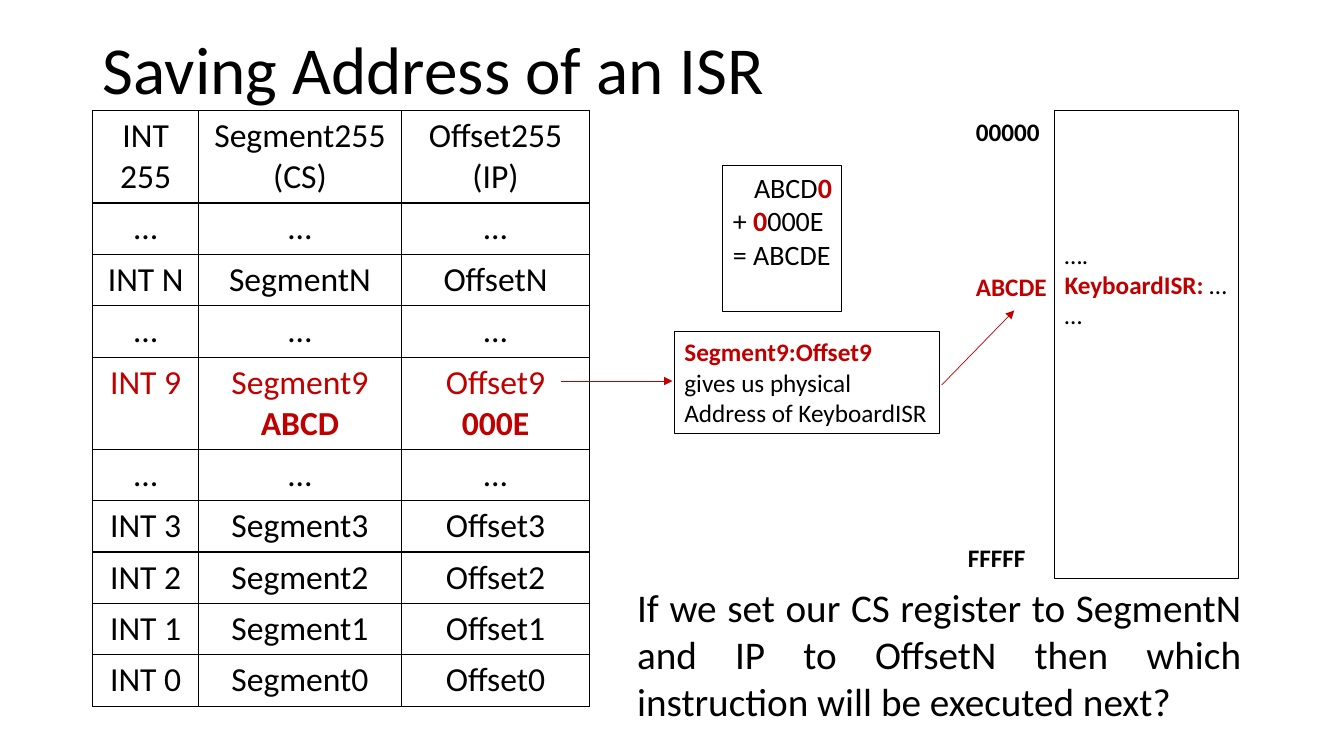
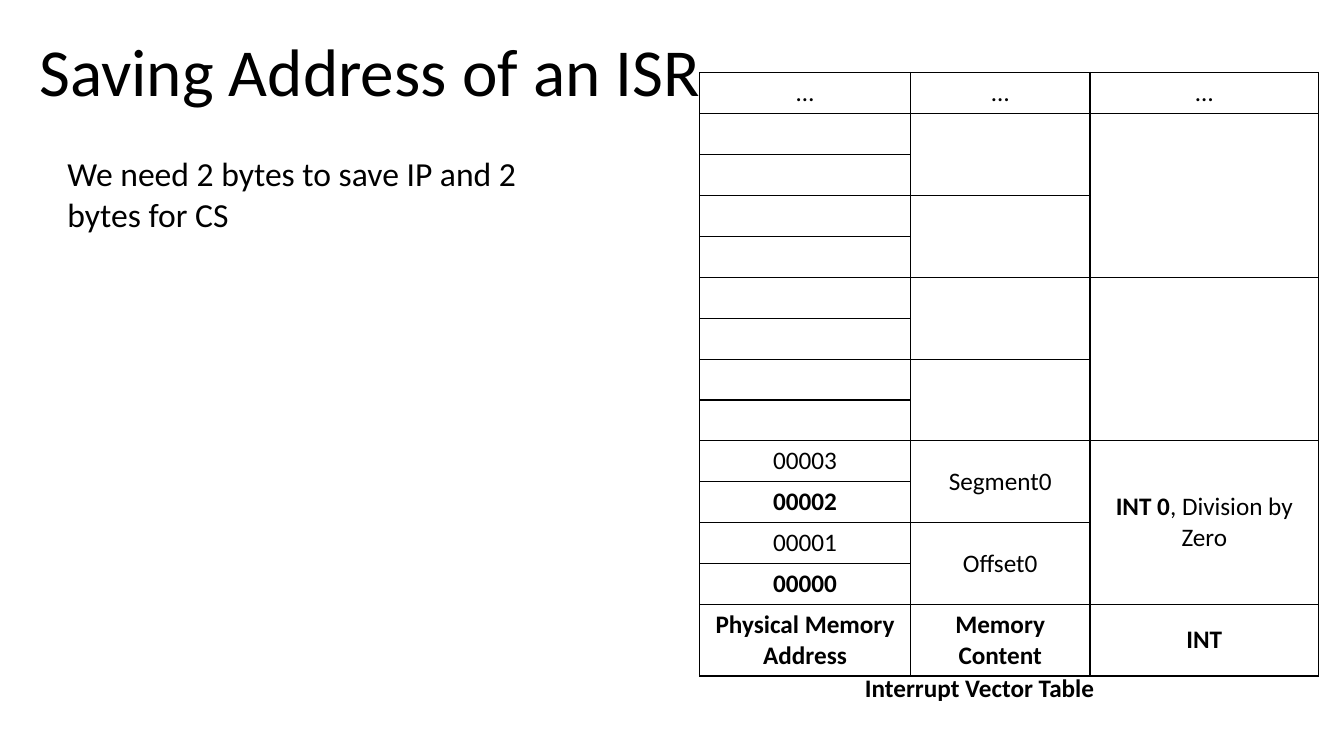
from lxml import etree
from pptx import Presentation
from pptx.dml.color import RGBColor
from pptx.enum import shapes, text
from pptx.oxml import ns
from pptx.util import Inches, Pt

BLACK = RGBColor(0, 0, 0)
WHITE = RGBColor(255, 255, 255)
RED = RGBColor(0xC0, 0, 0)
FONT = "Calibri"
TITLE = "Saving Address of an ISR"
LEFT, CENTER, RIGHT, JUSTIFY = (
    text.PP_ALIGN.LEFT, text.PP_ALIGN.CENTER,
    text.PP_ALIGN.RIGHT, text.PP_ALIGN.JUSTIFY)
TOP, MIDDLE = text.MSO_ANCHOR.TOP, text.MSO_ANCHOR.MIDDLE


def inches(*values):
    return [Inches(v) for v in values]


def style_font(font, size, color, bold):
    font.name, font.size, font.bold = FONT, Pt(size), bold
    font.color.rgb = color


def write(tf, paragraphs, size=18, align=LEFT, color=BLACK, bold=False):
    """Each paragraph is a string or a list of (text, color, bold) runs."""
    for i, content in enumerate(paragraphs):
        p = tf.paragraphs[0] if i == 0 else tf.add_paragraph()
        p.alignment = align
        style_font(p.font, size, color, bold)
        if isinstance(content, str):
            p.add_run().text = content
            continue
        for words, run_color, run_bold in content:
            r = p.add_run()
            r.text = words
            style_font(r.font, size, run_color, run_bold)


def add_slide(prs, left, top):
    s = prs.slides.add_slide(prs.slide_layouts[5])
    title = s.shapes.title
    title.left, title.top, title.width, title.height = inches(left, top, 11.5, 1.45)
    tf = title.text_frame
    tf.vertical_anchor = MIDDLE
    write(tf, [TITLE], 48)
    tf.paragraphs[0].line_spacing = 0.9
    return s


def add_text(s, box, paragraphs, wrap=False, **style):
    tf = s.shapes.add_textbox(*inches(*box)).text_frame
    tf.word_wrap = wrap
    write(tf, paragraphs, **style)


def add_box(s, box, paragraphs, size=18, margin_top=0.05):
    sp = s.shapes.add_shape(shapes.MSO_SHAPE.RECTANGLE, *inches(*box))
    sp.shadow.inherit = False
    sp.fill.background()
    sp.line.color.rgb = BLACK
    sp.line.width = Pt(0.75)
    tf = sp.text_frame
    tf.word_wrap = False
    tf.vertical_anchor = TOP
    tf.margin_top = Inches(margin_top)
    write(tf, paragraphs, size)
    return tf


def add_arrow(s, start, end):
    line = s.shapes.add_connector(
        shapes.MSO_CONNECTOR.STRAIGHT, *inches(*start, *end))
    line.line.color.rgb = RED
    line.line.width = Pt(0.5)
    etree.SubElement(line.line._get_or_add_ln(), ns.qn("a:tailEnd"), type="triangle")
    etree.SubElement(line._element.spPr, ns.qn("a:effectLst"))


def style_cell(cell, anchor):
    tc_pr = cell._tc.get_or_add_tcPr()
    for side in ("lnL", "lnR", "lnT", "lnB"):
        ln = etree.SubElement(tc_pr, ns.qn(f"a:{side}"), w=str(Pt(1)))
        fill = etree.SubElement(ln, ns.qn("a:solidFill"))
        etree.SubElement(fill, ns.qn("a:srgbClr"), val=str(BLACK))
    cell.fill.solid()
    cell.fill.fore_color.rgb = WHITE
    cell.vertical_anchor = anchor


def add_table(s, left, top, widths, heights, anchor):
    frame = s.shapes.add_table(
        len(heights), len(widths),
        *inches(left, top, sum(widths), sum(heights)))
    table = frame.table
    table.first_row = table.horz_banding = False
    for column, width in zip(table.columns, widths):
        column.width = Inches(width)
    for row, height in zip(table.rows, heights):
        row.height = Inches(height)
    for cell in table.iter_cells():
        style_cell(cell, anchor)
    return table


def vector_row(n):
    return [[f"INT {n}"], [f"Segment{n}"], [f"Offset{n}"]]


def build_lookup_slide(prs):
    s = add_slide(prs, 0.92, 0)
    dots = [["…"]] * 3
    rows = [
        [["INT 255"], ["Segment255", "(CS)"], ["Offset255", "(IP)"]],
        dots, vector_row("N"), dots,
        [["INT 9"],
         ["Segment9", [("ABCD", RED, True)]],
         ["Offset9", [("000E", RED, True)]]],
        dots, *[vector_row(n) for n in (3, 2, 1, 0)],
    ]
    heights = [0.91 if len(row[1]) > 1 else 0.51 for row in rows]
    table = add_table(s, 0.92, 1.1, (1.05, 2.01, 1.87), heights, TOP)
    for i, row in enumerate(rows):
        color = RED if row[0] == ["INT 9"] else BLACK
        for j, paragraphs in enumerate(row):
            write(table.cell(i, j).text_frame, paragraphs, 24, CENTER, color)

    add_text(s, (6.22, 5.74, 6.19, 1.51),
             ["If we set our CS register to SegmentN and IP to OffsetN "
              "then which instruction will be executed next?"],
             wrap=True, size=28, align=JUSTIFY)
    add_arrow(s, (5.56, 3.78), (6.67, 3.78))
    add_box(s, (6.69, 3.29, 2.63, 1.01),
            [[("Segment9:Offset9", RED, True)],
             "gives us physical", "Address of KeyboardISR"])
    add_box(s, (10.46, 1.1, 1.82, 4.64),
            ["….", [("KeyboardISR:", RED, True), (" …", BLACK, False)], "…"],
            margin_top=1.27)
    for left, top, width, address, color in (
            (9.58, 1.1, 0.84, "00000", BLACK),
            (9.5, 5.33, 0.78, "FFFFF", BLACK),
            (9.58, 2.64, 0.91, "ABCDE", RED)):
        add_text(s, (left, top, width, 0.4), [address], color=color, bold=True)
    add_arrow(s, (9.34, 3.82), (10.06, 3.08))
    tf = add_box(s, (7.17, 1.64, 1.18, 1.45),
                 [[("ABCD", BLACK, False), ("0", RED, True)],
                  [("+ ", BLACK, False), ("0", RED, True), ("000E", BLACK, False)],
                  "= ABCDE"], size=20)
    tf.paragraphs[0].alignment = RIGHT


def build_memory_slide(prs):
    s = add_slide(prs, 0.29, 0.02)
    table = add_table(s, 6.94, 0.72, (2.09, 1.78, 2.27),
                      [0.41] + [0.4] * 12 + [0.7], MIDDLE)
    for column, span in ((1, 2), (2, 4)):
        for row in range(1, 13, span):
            table.cell(row, column).merge(table.cell(row + span - 1, column))

    def fill(row, column, content, bold=False):
        write(table.cell(row, column).text_frame, [content], align=CENTER, bold=bold)

    headings = ("Physical Memory Address", "Memory Content", "INT")
    for column, heading in enumerate(headings):
        fill(0, column, "…")
        fill(13, column, heading, bold=True)
    for address in range(4):
        fill(12 - address, 0, f"{address:05}", bold=address % 2 == 0)
    fill(9, 1, "Segment0")
    fill(11, 1, "Offset0")
    fill(9, 2, [("INT 0", BLACK, True), (", Division by Zero", BLACK, False)])

    add_text(s, (8.48, 6.62, 2.49, 0.4), ["Interrupt Vector Table"], bold=True)
    add_text(s, (0.57, 1.47, 5.34, 0.91),
             ["We need 2 bytes to save IP and 2 bytes for CS"], wrap=True, size=24)


def main():
    prs = Presentation()
    prs.slide_width, prs.slide_height = inches(13.33, 7.5)
    build_lookup_slide(prs)
    build_memory_slide(prs)
    prs.save("out.pptx")


if __name__ == "__main__":
    main()
